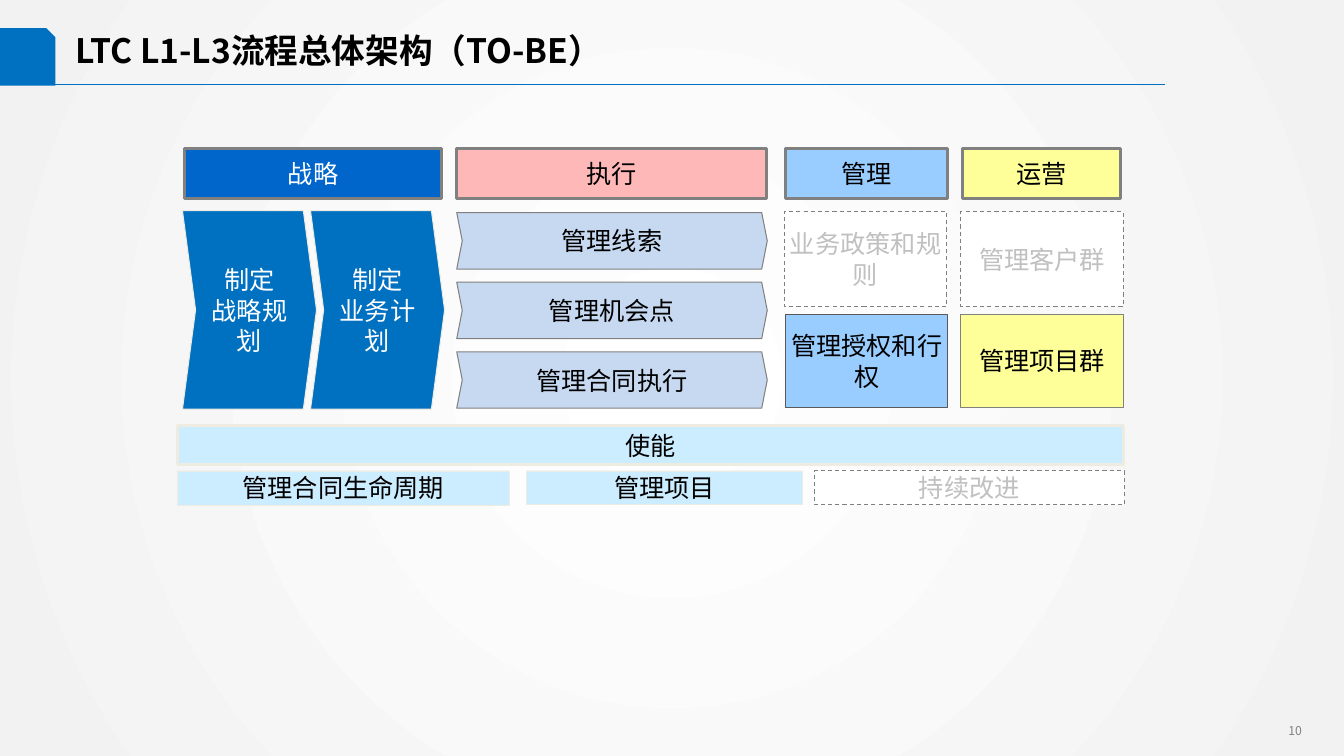
from lxml import etree
from pptx import Presentation
from pptx.dml.color import RGBColor
from pptx.enum.dml import MSO_LINE
from pptx.enum.shapes import MSO_CONNECTOR, MSO_SHAPE
from pptx.enum.text import MSO_ANCHOR, PP_ALIGN
from pptx.oxml.ns import qn
from pptx.util import Inches, Pt

RECT, CHEVRON, SNIP = MSO_SHAPE.RECTANGLE, MSO_SHAPE.CHEVRON, MSO_SHAPE.SNIP_1_RECTANGLE
STRAIGHT = MSO_CONNECTOR.STRAIGHT
DASH = MSO_LINE.DASH
LEFT, CENTER, RIGHT = PP_ALIGN.LEFT, PP_ALIGN.CENTER, PP_ALIGN.RIGHT
MIDDLE = MSO_ANCHOR.MIDDLE
FONT = "Noto Sans CJK SC"
BLUE, BLACK, WHITE, GRAY = "0070C0", "000000", "FFFFFF", "808080"
PALE_BLUE, CREAM = "CCECFF", "EEECE1"


def rgb(value):
    return RGBColor.from_string(value)


def write(tf, text, size, color, align, bold=False):
    tf.word_wrap = True
    tf.text = text
    for p in tf.paragraphs:
        p.alignment = align
        font = p.font
        font.size, font.bold, font.name = Pt(size), bold, FONT
        font.color.rgb = rgb(color)
        props = p._p.pPr.find(qn("a:defRPr"))
        etree.SubElement(props, qn("a:ea")).set("typeface", FONT)


def set_background(slide):
    fill = slide.background.fill
    fill.gradient()
    for stop, color in zip(fill.gradient_stops, (WHITE, "F2F2F2")):
        stop.color.rgb = rgb(color)
    grad = slide.background._cSld.find(".//" + qn("a:gradFill"))
    lin = grad.find(qn("a:lin"))
    circle = etree.Element(qn("a:path"), path="circle")
    etree.SubElement(circle, qn("a:fillToRect"), l="50000", t="50000", r="50000", b="50000")
    grad.replace(lin, circle)


def add_block(slide, kind, box, fill, line=None, width=0.75):
    s = slide.shapes.add_shape(kind, *map(Inches, box))
    s.shadow.inherit = False
    s.fill.solid()
    s.fill.fore_color.rgb = rgb(fill)
    if line:
        s.line.color.rgb = rgb(line)
        s.line.width = Pt(width)
    else:
        s.line.fill.background()
    return s


def add_box(slide, text, box, fill, line=GRAY, width=0.75, color=BLACK):
    s = add_block(slide, RECT, box, fill, line, width)
    tf = s.text_frame
    tf.margin_left = tf.margin_right = 0
    tf.vertical_anchor = MIDDLE
    write(tf, text, 18, color, CENTER)
    return s


def add_inactive(slide, text, box):
    s = add_box(slide, text, box, WHITE, "7F7F7F", color="C0C0C0")
    s.line.dash_style = DASH


def add_step(slide, text, box, fill, line, color):
    s = add_block(slide, CHEVRON, box, fill, line)
    s.adjustments[0] = 0.098
    s.text_frame.vertical_anchor = MIDDLE
    write(s.text_frame, text, 18, color, CENTER)


def add_header(slide):
    add_block(slide, SNIP, (0, 0.28, 0.55, 0.57), BLUE)
    rule = slide.shapes.add_connector(
        STRAIGHT, Inches(0.53), Inches(0.84), Inches(11.55), Inches(0.84))
    rule.line.color.rgb = rgb(BLUE)
    rule.line.width = Pt(0.75)
    etree.SubElement(rule._element.spPr, qn("a:effectLst"))

    title = slide.shapes.title
    title.left, title.top, title.width, title.height = map(Inches, (0.75, 0.09, 10.94, 0.81))
    tf = title.text_frame
    tf.margin_left = tf.margin_right = tf.margin_top = tf.margin_bottom = 0
    tf.vertical_anchor = MIDDLE
    write(tf, "LTC L1-L3流程总体架构（TO-BE）", 24, BLACK, LEFT, True)


def add_page_number(slide):
    s = slide.shapes.add_textbox(*map(Inches, (11.99, 7.13, 1.02, 0.36)))
    write(s.text_frame, "10", 8.7, GRAY, RIGHT)


def main():
    prs = Presentation()
    prs.slide_width, prs.slide_height = Inches(13.33), Inches(7.5)
    slide = prs.slides.add_slide(prs.slide_layouts[5])
    set_background(slide)
    add_header(slide)

    for text, left, width, fill, color in (
        ("战略", 1.83, 2.55, "0066CC", WHITE),
        ("执行", 4.53, 3.07, "FFB8B8", BLACK),
        ("管理", 7.79, 1.61, "99CCFF", BLACK),
        ("运营", 9.55, 1.56, "FFFF99", BLACK),
    ):
        add_box(slide, text, (left, 1.47, width, 0.5), fill, width=2.25, color=color)

    for i, text in enumerate(("制定\n战略规划", "制定\n业务计划")):
        add_step(slide, text, (1.81 + i * 1.27, 2.09, 1.33, 1.97), BLUE, CREAM, WHITE)
    for i, text in enumerate(("管理线索", "管理机会点", "管理合同执行")):
        add_step(slide, text, (4.53, 2.11 + i * 0.69, 3.08, 0.56), "C6D9F1", GRAY, BLACK)

    add_inactive(slide, "业务政策和规则", (7.78, 2.1, 1.61, 0.94))
    add_inactive(slide, "管理客户群", (9.53, 2.1, 1.61, 0.94))
    add_box(slide, "管理授权和行权", (7.79, 3.12, 1.61, 0.92), "99CCFF", "595959")
    add_box(slide, "管理项目群", (9.53, 3.12, 1.61, 0.92), "FFFF99")

    add_box(slide, "使能", (1.76, 4.22, 9.38, 0.39), PALE_BLUE, CREAM, 2.25)
    add_box(slide, "管理合同生命周期", (1.76, 4.67, 3.29, 0.34), PALE_BLUE, CREAM, 0.25)
    add_box(slide, "管理项目", (5.22, 4.67, 2.74, 0.33), PALE_BLUE, CREAM, 0.25)
    add_inactive(slide, "持续改进", (8.08, 4.67, 3.07, 0.34))
    add_page_number(slide)
    prs.save("out.pptx")


if __name__ == "__main__":
    main()
